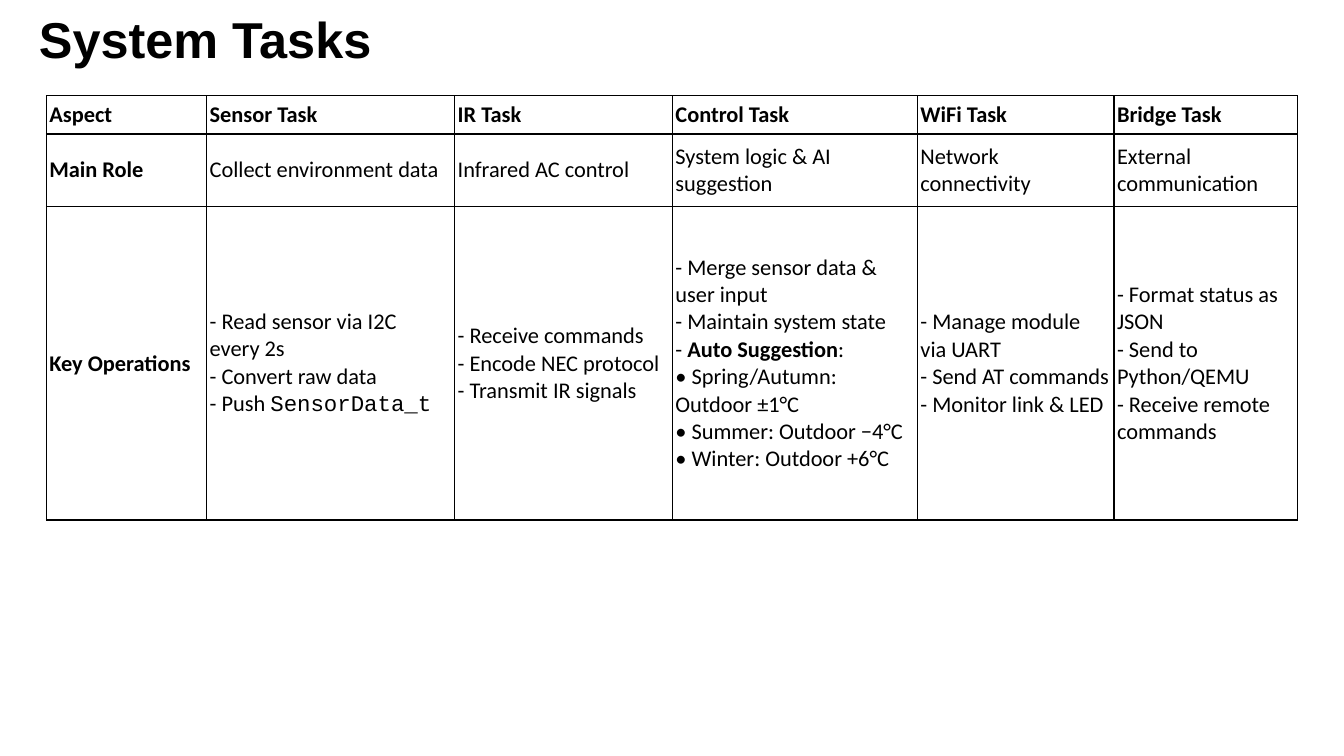
import pptx
import pptx.util
import pptx.dml.color
import pptx.enum.text
import pptx.oxml
import pptx.oxml.ns

Inches, Pt = pptx.util.Inches, pptx.util.Pt

# Content: a cell is a list of lines, a line is a list of (text, style) runs
TITLE = "System Tasks"
HEADINGS = ["Aspect", "Sensor Task", "IR Task", "Control Task", "WiFi Task", "Bridge Task"]
ROLES = ["Main Role", "Collect environment data", "Infrared AC control",
         "System logic & AI suggestion", "Network connectivity", "External communication"]
OPERATIONS = [
    "Key Operations",
    ["- Read sensor via I2C every 2s", "- Convert raw data",
     [("- Push ", "body"), ("SensorData_t", "code")]],
    ["- Receive commands", "- Encode NEC protocol", "- Transmit IR signals"],
    ["- Merge sensor data & user input", "- Maintain system state",
     [("- ", "body"), ("Auto Suggestion", "strong"), (":", "body")],
     "• Spring/Autumn: Outdoor ±1°C", "• Summer: Outdoor −4°C", "• Winter: Outdoor +6°C"],
    ["- Manage module via UART", "- Send AT commands", "- Monitor link & LED"],
    ["- Format status as JSON", "- Send to Python/QEMU", "- Receive remote commands"],
]
TASK_ROWS = [HEADINGS, ROLES, OPERATIONS]

# Theme and layout
THEME = {
    "ink": "000000",
    "border": Pt(1),
    "title": {"name": "Arial", "size": Pt(36), "bold": True},
    "body": {"name": "Calibri", "size": Pt(16), "bold": False},
    "strong": {"name": "Calibri", "size": Pt(16), "bold": True},
    "code": {"name": "Courier New", "size": Pt(16), "bold": False},
}
TITLE_BOX = (-0.96, 0.03, 5.99, 0.71)
TABLE_CORNER = (0.46, 0.95)
COLUMN_WIDTHS = [1.59, 2.46, 2.16, 2.43, 1.95, 1.82]
ROW_HEIGHTS = [0.38, 0.72, 3.11]
MIDDLE = pptx.enum.text.MSO_ANCHOR.MIDDLE
TITLE_FRAME = {"word_wrap": True, "margin_top": Inches(0.05), "margin_bottom": Inches(0.05)}
CELL_FORMAT = {"vertical_anchor": MIDDLE,
               "margin_left": Inches(0.03), "margin_right": Inches(0.03),
               "margin_top": Inches(0.01), "margin_bottom": Inches(0.01)}


def apply(target, values):
    for attribute, value in values.items():
        setattr(target, attribute, value)


def add_run(paragraph, text, style):
    run = paragraph.add_run()
    run.text = text
    apply(run.font, THEME[style])
    run.font.color.rgb = pptx.dml.color.RGBColor.from_string(THEME["ink"])


def write_cell(paragraph, content, style):
    lines = [content] if isinstance(content, str) else content
    for number, line in enumerate(lines):
        if number:
            paragraph.add_line_break()
        runs = [(line, style)] if isinstance(line, str) else line
        for text, run_style in runs:
            add_run(paragraph, text, run_style)


def draw_borders(cell):
    properties = cell._tc.get_or_add_tcPr()
    for position, side in enumerate(("lnL", "lnR", "lnT", "lnB")):
        properties.insert(position, pptx.oxml.parse_xml(
            f'<a:{side} {pptx.oxml.ns.nsdecls("a")} w="{THEME["border"]}"><a:solidFill>'
            f'<a:srgbClr val="{THEME["ink"]}"/></a:solidFill></a:{side}>'))


def main():
    deck = pptx.Presentation()
    deck.slide_width, deck.slide_height = Inches(13.33), Inches(7.5)
    slide = deck.slides.add_slide(deck.slide_layouts[6])

    # Title
    title = slide.shapes.add_textbox(*map(Inches, TITLE_BOX)).text_frame
    apply(title, TITLE_FRAME)
    title.paragraphs[0].alignment = pptx.enum.text.PP_ALIGN.CENTER
    add_run(title.paragraphs[0], TITLE, "title")

    # Task table
    tasks = slide.shapes.add_table(
        len(ROW_HEIGHTS), len(COLUMN_WIDTHS), *map(Inches, TABLE_CORNER),
        Inches(sum(COLUMN_WIDTHS)), Inches(sum(ROW_HEIGHTS))).table
    apply(tasks, {"first_row": False, "horz_banding": False})
    for column, width in zip(tasks.columns, COLUMN_WIDTHS):
        column.width = Inches(width)
    for row, height in zip(tasks.rows, ROW_HEIGHTS):
        row.height = Inches(height)

    # Cells: the heading row and the aspect column are bold
    for r, contents in enumerate(TASK_ROWS):
        for c, content in enumerate(contents):
            cell = tasks.cell(r, c)
            apply(cell, CELL_FORMAT)
            cell.fill.background()
            draw_borders(cell)
            style = "strong" if r == 0 or c == 0 else "body"
            write_cell(cell.text_frame.paragraphs[0], content, style)

    deck.save("out.pptx")


if __name__ == "__main__":
    main()
